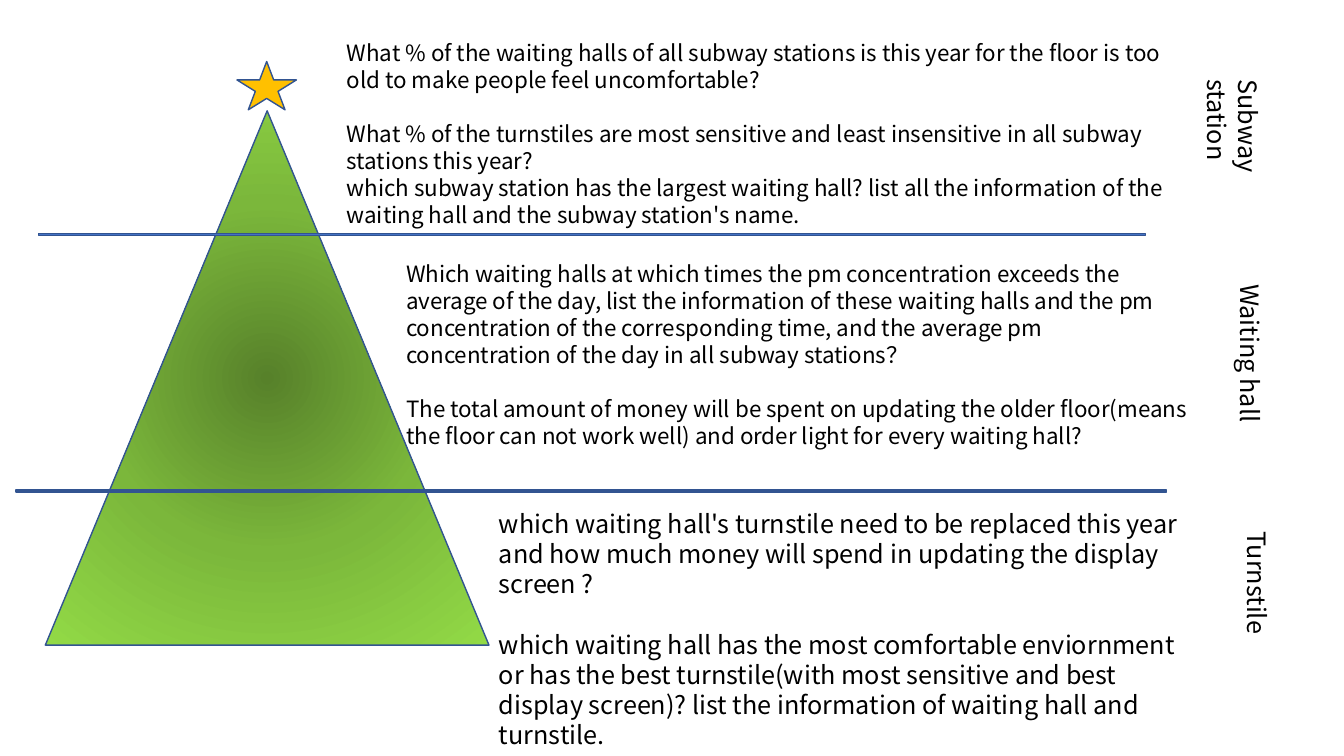
from dataclasses import dataclass

from lxml import etree
from pptx import Presentation
from pptx.dml.color import RGBColor
from pptx.enum.shapes import MSO_SHAPE
from pptx.enum.text import MSO_AUTO_SIZE
from pptx.oxml import parse_xml
from pptx.oxml.ns import nsdecls, qn
from pptx.util import Inches, Pt

TRIANGLE = MSO_SHAPE.ISOSCELES_TRIANGLE
STAR = MSO_SHAPE.STAR_5_POINT
MINUS = MSO_SHAPE.MATH_MINUS
GROW = MSO_AUTO_SIZE.SHAPE_TO_FIT_TEXT

FONT = "Noto Sans CJK SC"
OUTLINE = "325491"
LINE_PITCH = {16: 19.3, 18: 21.6}
TREE_STOPS = [(0, "57812A"), (50, "7BB73B"), (100, "92DA46")]


@dataclass
class Box:
    left: float
    top: float
    width: float
    height: float

    def lengths(self) -> list:
        return [Inches(v) for v in (self.left, self.top, self.width, self.height)]


@dataclass
class Figure:
    preset: int
    box: Box
    color: str


@dataclass
class Question:
    text: str
    after_gap: bool = False


@dataclass
class Level:
    label: str
    label_box: Box
    questions: list
    question_box: Box
    size: int


FIGURES = [
    Figure(TRIANGLE, Box(0.45, 1.1, 4.4, 5.3), TREE_STOPS[0][1]),
    Figure(STAR, Box(2.35, 0.61, 0.59, 0.48), "FFC000"),
    Figure(MINUS, Box(-1.6, 2.28, 14.94, 0.09), "4472C4"),
    Figure(MINUS, Box(-1.9, 4.83, 15.53, 0.08), "4472C4"),
]

LEVELS = [
    Level("Subway station", Box(11.77, 0.69, 0.81, 1.61), [
        Question("What % of the waiting halls of all subway stations is this year "
                 "for the floor is too old to make people feel uncomfortable?"),
        Question("What % of the turnstiles are most sensitive and least insensitive "
                 "in all subway stations this year?", True),
        Question("which subway station has the largest waiting hall? list all the "
                 "information of the waiting hall and the subway station's name."),
    ], Box(3.34, 0.34, 8.55, 2.26), 16),
    Level("Waiting hall", Box(12.1, 2.72, 0.5, 1.61), [
        Question("Which waiting halls at which times the pm concentration exceeds the "
                 "average of the day, list the information of these waiting halls and "
                 "the pm concentration of the corresponding time, and the average pm "
                 "concentration of the day in all subway stations？"),
        Question("The total amount of money will be spent on updating the older "
                 "floor(means the floor can not work well) and order light for every "
                 "waiting hall?", True),
    ], Box(3.93, 2.53, 7.96, 2.29), 16),
    Level("Turnstile", Box(12.17, 5.17, 0.5, 1.61), [
        Question("which waiting hall's turnstile need to be replaced this year and how "
                 "much money will spend in updating the display screen ?"),
        Question("which waiting hall has the most comfortable enviornment or has the "
                 "best turnstile(with most sensitive and best display screen)? list the "
                 "information of waiting hall and turnstile.", True),
    ], Box(4.85, 4.99, 7.04, 2.22), 18),
]


def rgb(color: str) -> RGBColor:
    return RGBColor.from_string(color)


def add_figure(slide, figure: Figure):
    shape = slide.shapes.add_shape(figure.preset, *figure.box.lengths())
    shape.shadow.inherit = False
    shape.fill.solid()
    shape.fill.fore_color.rgb = rgb(figure.color)
    shape.line.color.rgb = rgb(OUTLINE)
    shape.line.width = Pt(1)
    return shape


def set_radial_fill(shape, stops: list) -> None:
    stop_xml = "".join(
        f'<a:gs pos="{percent * 1000}"><a:srgbClr val="{color}"/></a:gs>'
        for percent, color in stops
    )
    gradient = parse_xml(
        f'<a:gradFill {nsdecls("a")} rotWithShape="1"><a:gsLst>{stop_xml}</a:gsLst>'
        '<a:path path="circle">'
        '<a:fillToRect l="50000" t="50000" r="50000" b="50000"/></a:path></a:gradFill>'
    )
    properties = shape.element.spPr
    properties.replace(properties.find(qn("a:solidFill")), gradient)


def add_text(slide, box: Box, questions: list, size: int, vertical: bool = False) -> None:
    text_frame = slide.shapes.add_textbox(*box.lengths()).text_frame
    text_frame.word_wrap = True
    text_frame.auto_size = GROW
    if vertical:
        text_frame._txBody.bodyPr.set("vert", "eaVert")
    text_frame.text = "\n".join(question.text for question in questions)
    for paragraph, question in zip(text_frame.paragraphs, questions):
        paragraph.line_spacing = Pt(LINE_PITCH[size])
        if question.after_gap:
            paragraph.space_before = Pt(LINE_PITCH[size])
        for run in paragraph.runs:
            run.font.size = Pt(size)
            run.font.color.rgb = rgb("000000")
            run.font.name = FONT
            etree.SubElement(run.font._element, qn("a:ea"), typeface=FONT)


def main() -> None:
    presentation = Presentation()
    presentation.slide_width = Inches(13.33)
    presentation.slide_height = Inches(7.5)
    slide = presentation.slides.add_slide(presentation.slide_layouts[6])

    # Tree, star and dividers
    for figure in FIGURES:
        shape = add_figure(slide, figure)
        if figure.preset == TRIANGLE:
            set_radial_fill(shape, TREE_STOPS)

    # Questions and vertical label of each level
    for level in LEVELS:
        add_text(slide, level.question_box, level.questions, level.size)
        add_text(slide, level.label_box, [Question(level.label)], 18, vertical=True)

    presentation.save("out.pptx")


if __name__ == "__main__":
    main()
